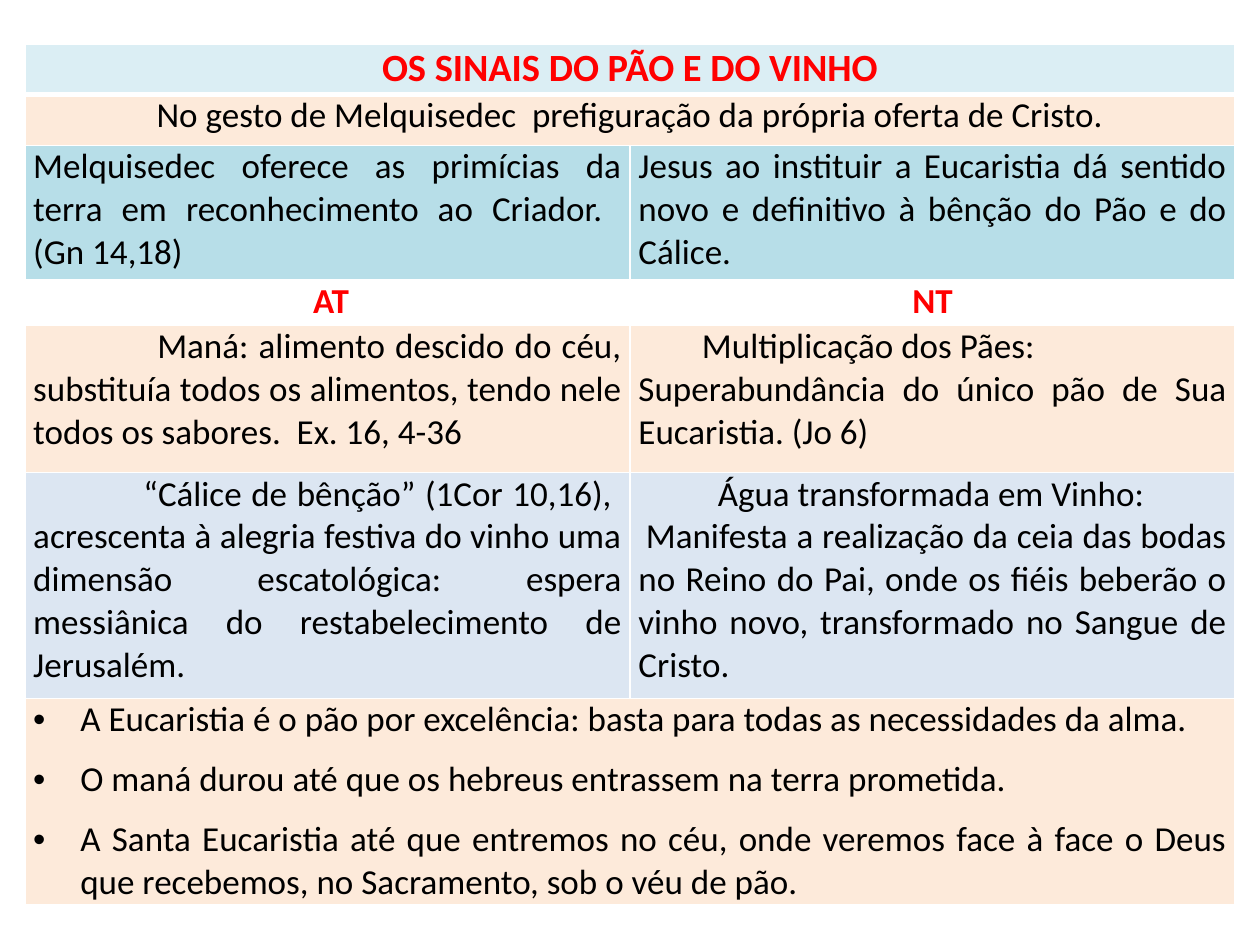
from dataclasses import dataclass

from lxml import etree
from pptx import Presentation
from pptx.dml.color import RGBColor
from pptx.enum.text import PP_ALIGN
from pptx.oxml.ns import qn
from pptx.util import Cm, Pt

MID = PP_ALIGN.CENTER
JUST = PP_ALIGN.JUSTIFY
FONT = "Calibri"
RED = "FF0000"
BLACK = "000000"
WHITE = "FFFFFF"
PEACH = "FDEADA"
HANG = 0.95


@dataclass
class Para:
    text: str
    shift: float = 0
    bullet: bool = False


@dataclass
class Row:
    high: float
    fill: str
    cells: list[list[Para]]
    align: PP_ALIGN = JUST
    size: int = 20
    color: str = BLACK
    bold: bool = False
    rule: int = 1


ROWS = [
    Row(1, "DBEEF4", [[Para("OS SINAIS DO PÃO E DO VINHO")]], MID, 22, RED, True, 3),
    Row(1.03, PEACH, [[Para(
        "No gesto de Melquisedec  prefiguração da própria oferta de Cristo.")]], MID),
    Row(2.71, "B7DEE8", [
        [Para("Melquisedec oferece as primícias da terra em reconhecimento "
              "ao Criador.  (Gn 14,18)")],
        [Para("Jesus ao instituir a Eucaristia dá sentido novo e definitivo "
              "à bênção do Pão e do Cálice.")]]),
    Row(0.92, WHITE, [[Para("AT", 0.15)], [Para("NT")]], MID, 20, RED, True),
    Row(2.97, PEACH, [
        [Para("Maná: alimento descido do céu, substituía todos os alimentos, "
              "tendo nele todos os sabores.  Ex. 16, 4-36", 2.5)],
        [Para("Multiplicação dos Pães:", 1.28),
         Para("Superabundância do único pão de Sua Eucaristia. (Jo 6)")]]),
    Row(4.55, "DCE6F2", [
        [Para("“Cálice de bênção” (1Cor 10,16),  acrescenta à alegria festiva "
              "do vinho uma dimensão escatológica: espera messiânica do "
              "restabelecimento de Jerusalém.", 2.22)],
        [Para("Água transformada em Vinho:", 1.6),
         Para("Manifesta a realização da ceia das bodas no Reino do Pai, onde "
              "os fiéis beberão o vinho novo, transformado no Sangue de Cristo.",
              0.15)]]),
    Row(3.99, PEACH, [[
        Para("A Eucaristia é o pão por excelência: basta para todas as "
             "necessidades da alma.", bullet=True),
        Para("O maná durou até que os hebreus entrassem na terra prometida.",
             bullet=True),
        Para("A Santa Eucaristia até que entremos no céu, onde veremos face à "
             "face o Deus que recebemos, no Sacramento, sob o véu de pão.",
             bullet=True)]]),
]


def tint(code: str) -> RGBColor:
    return RGBColor.from_string(code)


def edge(cell, side: str, width: int) -> None:
    line = etree.SubElement(cell._tc.get_or_add_tcPr(), qn(f"a:ln{side}"),
                            w=str(Pt(width)))
    fill = etree.SubElement(line, qn("a:solidFill"))
    etree.SubElement(fill, qn("a:srgbClr"), val=WHITE)


def style(cell, row: Row, top: int) -> None:
    cell.margin_left = cell.margin_right = Cm(0.17)
    cell.margin_top = cell.margin_bottom = 0
    for side, width in zip("LRTB", (1, 1, top, row.rule)):
        edge(cell, side, width)
    cell.fill.solid()
    cell.fill.fore_color.rgb = tint(row.fill)


def write(cell, paras: list[Para], row: Row) -> None:
    frame = cell.text_frame
    for i, item in enumerate(paras):
        para = frame.add_paragraph() if i else frame.paragraphs[0]
        para.text = item.text
        para.alignment = row.align
        props = para._p.get_or_add_pPr()
        if item.bullet:
            props.set("marL", str(Cm(HANG)))
            props.set("indent", str(Cm(-HANG)))
            etree.SubElement(props, qn("a:buFont"), typeface="Arial")
            etree.SubElement(props, qn("a:buChar"), char="•")
            if i:
                para.space_before = Pt(9.8)
        elif item.shift:
            props.set("indent", str(Cm(item.shift)))
        font = para.font
        font.name = FONT
        font.size = Pt(row.size)
        font.bold = row.bold
        font.color.rgb = tint(row.color)


def main() -> None:
    deck = Presentation()
    deck.slide_width, deck.slide_height = Cm(25.4), Cm(19.05)
    slide = deck.slides.add_slide(deck.slide_layouts[6])
    high = sum(row.high for row in ROWS)
    grid = slide.shapes.add_table(
        len(ROWS), 2, Cm(0.5), Cm(0.9), Cm(24.4), Cm(high)).table
    grid.horz_banding = False
    grid.first_row = False
    top = 1
    for i, row in enumerate(ROWS):
        grid.rows[i].height = Cm(row.high)
        for j in range(2):
            style(grid.cell(i, j), row, top)
        if len(row.cells) == 1:
            grid.cell(i, 0).merge(grid.cell(i, 1))
        for j, paras in enumerate(row.cells):
            write(grid.cell(i, j), paras, row)
        top = row.rule
    deck.save("out.pptx")


if __name__ == "__main__":
    main()
